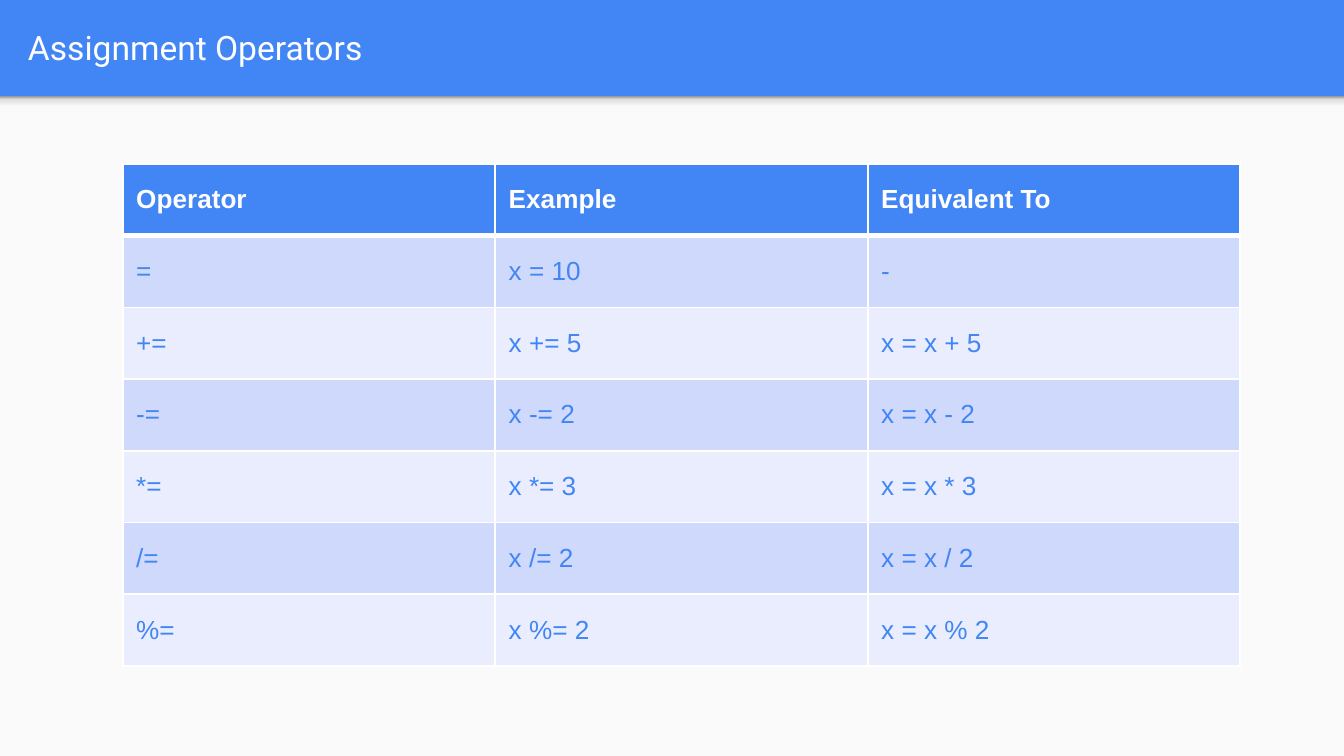
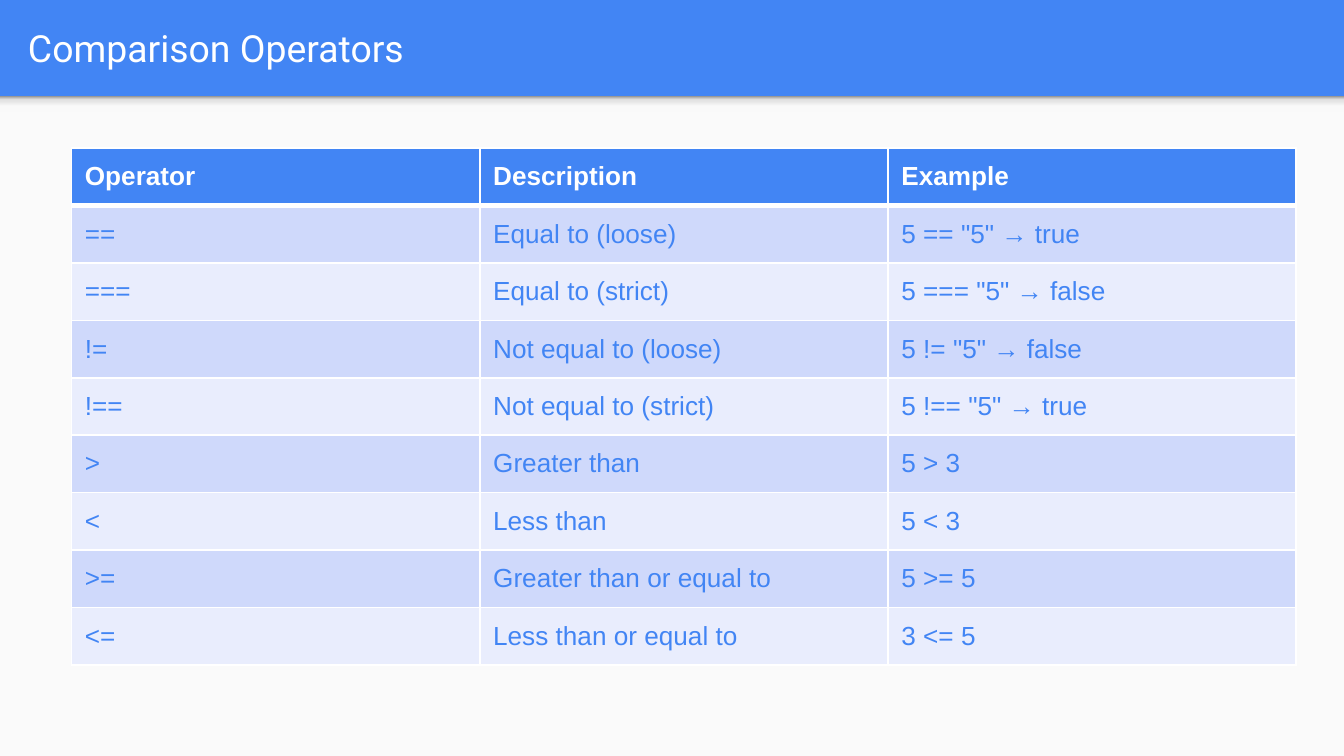
from copy import deepcopy

from lxml import etree
from pptx import Presentation
from pptx.dml.color import RGBColor
from pptx.enum import shapes, text
from pptx.oxml import ns
from pptx.util import Cm, Pt

BLUE = RGBColor(0x42, 0x85, 0xF4)
WHITE = RGBColor(0xFF, 0xFF, 0xFF)
PAGE = RGBColor(0xFA, 0xFA, 0xFA)
ROW_FILLS = (RGBColor(0xCF, 0xD9, 0xFB), RGBColor(0xE9, 0xED, 0xFD))
SHADOW_STOPS = (
    (0, RGBColor(0xF9, 0xF9, 0xF9)),
    (0.36, RGBColor(0xF9, 0xF9, 0xF9)),
    (0.8, RGBColor(0xDE, 0xDE, 0xDE)),
    (1, RGBColor(0x99, 0x99, 0x99)),
)
TITLE_FONT, TABLE_FONT = "Roboto", "Arial"
SLIDE_W, SLIDE_H = Cm(25.4), Cm(14.29)
BAND_H = Cm(1.82)

ASSIGNMENT = (
    ("Operator", "Example", "Equivalent To"),
    ("=", "x = 10", "-"),
    ("+=", "x += 5", "x = x + 5"),
    ("-=", "x -= 2", "x = x - 2"),
    ("*=", "x *= 3", "x = x * 3"),
    ("/=", "x /= 2", "x = x / 2"),
    ("%=", "x %= 2", "x = x % 2"),
)
COMPARISON = (
    ("Operator", "Description", "Example"),
    ("==", "Equal to (loose)", '5 == "5" → true'),
    ("===", "Equal to (strict)", '5 === "5" → false'),
    ("!=", "Not equal to (loose)", '5 != "5" → false'),
    ("!==", "Not equal to (strict)", '5 !== "5" → true'),
    (">", "Greater than", "5 > 3"),
    ("<", "Less than", "5 < 3"),
    (">=", "Greater than or equal to", "5 >= 5"),
    ("<=", "Less than or equal to", "3 <= 5"),
)


def add_run(p, content, font, size, color, bold=False):
    r = p.add_run()
    r.text = content
    r.font.name, r.font.size, r.font.bold = font, Pt(size), bold
    r.font.color.rgb = color


def add_panel(s, top, height):
    """Add a full-width rectangle without outline or shadow."""
    sp = s.shapes.add_shape(shapes.MSO_SHAPE.RECTANGLE, 0, top, SLIDE_W, height)
    sp.shadow.inherit = False
    sp.line.fill.background()
    return sp


def fill_shadow(sp):
    """Fade the panel from dark at its top to light at its bottom."""
    fill = sp.fill
    fill.gradient()
    fill.gradient_angle = 90
    stops = sp.fill._xPr.find(".//" + ns.qn("a:gsLst"))
    while len(stops) < len(SHADOW_STOPS):
        stops.append(deepcopy(stops[0]))
    for stop, (position, color) in zip(fill.gradient_stops, SHADOW_STOPS):
        stop.position = position
        stop.color.rgb = color


def add_slide(prs, title, size):
    """Add a slide with the blue title band above the pale page."""
    s = prs.slides.add_slide(prs.slide_layouts[6])
    s.background.fill.solid()
    s.background.fill.fore_color.rgb = BLUE
    page = add_panel(s, BAND_H, SLIDE_H - BAND_H)
    page.fill.solid()
    page.fill.fore_color.rgb = PAGE
    fill_shadow(add_panel(s, BAND_H, Cm(0.3)))

    tf = s.shapes.add_textbox(Cm(0.28), Cm(0.05), Cm(24.5), Cm(1.68)).text_frame
    tf.word_wrap = True
    tf.vertical_anchor = text.MSO_ANCHOR.MIDDLE
    tf.margin_left = tf.margin_right = tf.margin_top = tf.margin_bottom = Cm(0.25)
    add_run(tf.paragraphs[0], title, TITLE_FONT, size, WHITE)
    return s


def set_borders(cell, top, bottom):
    """Draw white cell borders; top and bottom are widths in points."""
    tc_pr = cell._tc.get_or_add_tcPr()
    sides = (("L", 1), ("R", 1), ("T", top), ("B", bottom))
    for i, (side, width) in enumerate(sides):
        ln = etree.Element(ns.qn("a:ln" + side), w=str(Pt(width)))
        solid = etree.SubElement(ln, ns.qn("a:solidFill"))
        etree.SubElement(solid, ns.qn("a:srgbClr"), val=str(WHITE))
        tc_pr.insert(i, ln)


def add_table(s, rows, left, top, width, height):
    n_rows, n_cols = len(rows), len(rows[0])
    table = s.shapes.add_table(n_rows, n_cols, left, top, width, height).table
    for i, row in enumerate(rows):
        header = i == 0
        for cell, content in zip(table.rows[i].cells, row):
            cell.fill.solid()
            cell.fill.fore_color.rgb = BLUE if header else ROW_FILLS[(i - 1) % 2]
            cell.vertical_anchor = text.MSO_ANCHOR.MIDDLE
            set_borders(cell, top=3 if i == 1 else 1, bottom=3 if header else 1)
            add_run(cell.text_frame.paragraphs[0], content, TABLE_FONT, 14,
                    WHITE if header else BLUE, bold=header)


def main():
    prs = Presentation()
    prs.slide_width, prs.slide_height = SLIDE_W, SLIDE_H

    s = add_slide(prs, "Assignment Operators", 18)
    add_table(s, ASSIGNMENT, Cm(2.32), Cm(3.1), Cm(21.12), Cm(9.49))

    s = add_slide(prs, "Comparison Operators", 20)
    add_table(s, COMPARISON, Cm(1.35), Cm(2.8), Cm(23.15), Cm(9.77))

    prs.save("out.pptx")


if __name__ == "__main__":
    main()
